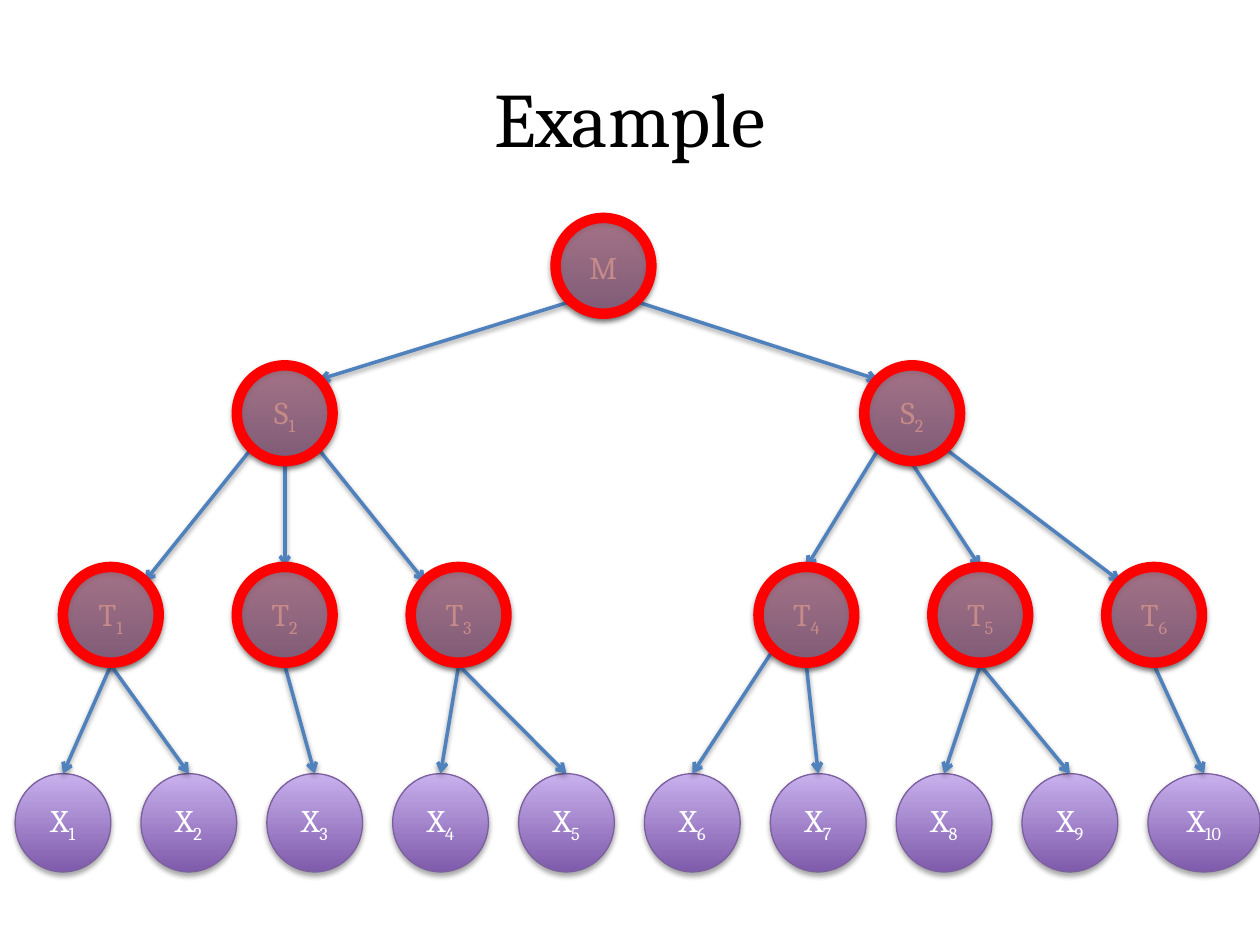
import pptx
import pptx.util
import pptx.dml.color
import pptx.enum.shapes
import pptx.enum.text
import pptx.oxml
import pptx.oxml.ns
import lxml.etree

Inches = pptx.util.Inches
Pt = pptx.util.Pt
RGBColor = pptx.dml.color.RGBColor
OVAL = pptx.enum.shapes.MSO_SHAPE.OVAL
STRAIGHT = pptx.enum.shapes.MSO_CONNECTOR.STRAIGHT
qn = pptx.oxml.ns.qn

BLACK = RGBColor(0x00, 0x00, 0x00)
WHITE = RGBColor(0xFF, 0xFF, 0xFF)
RED = RGBColor(0xFF, 0x00, 0x00)
BRICK = RGBColor(0xC0, 0x50, 0x4D)
ARROW_BLUE = RGBColor(0x4F, 0x81, 0xBD)
# Bottom of gradient, top of gradient, outline
BLUES = (RGBColor(0x3F, 0x80, 0xCE), RGBColor(0xA4, 0xC4, 0xFF), RGBColor(0x4B, 0x7E, 0xBC))
PURPLES = (RGBColor(0x7F, 0x5B, 0xAB), RGBColor(0xC8, 0xB0, 0xED), RGBColor(0x7D, 0x60, 0xA0))

FONT = "Cambria"
NODE_WIDTH, NODE_HEIGHT, RING_SIZE = 0.76, 0.78, 0.76
DIAGONAL = 0.354  # share of the node size from its centre to a diagonal site


def add_shadow(shape, distance, opacity):
    properties = shape._element.spPr
    effects = properties.find(qn("a:effectLst"))
    if effects is None:
        effects = lxml.etree.SubElement(properties, qn("a:effectLst"))
    effects.append(pptx.oxml.parse_xml(
        f'<a:outerShdw xmlns:a="{pptx.oxml.ns.nsdecls("a").split(chr(34))[1]}" '
        f'blurRad="{Pt(3.1)}" dist="{Pt(distance)}" dir="5400000" rotWithShape="0">'
        f'<a:srgbClr val="000000"><a:alpha val="{opacity * 1000}"/></a:srgbClr></a:outerShdw>'))


def write_text(shape, parts, size, color):
    frame = shape.text_frame
    frame.word_wrap = True
    frame.vertical_anchor = pptx.enum.text.MSO_ANCHOR.MIDDLE
    paragraph = frame.paragraphs[0]
    paragraph.alignment = pptx.enum.text.PP_ALIGN.CENTER
    for index, part in enumerate(parts):
        run = paragraph.add_run()
        run.text = part
        for name, value in {"name": FONT, "size": Pt(size)}.items():
            setattr(run.font, name, value)
        run.font.color.rgb = color
        if index:
            run.font._element.set("baseline", "-25000")


presentation = pptx.Presentation()
presentation.slide_width = Inches(10)
presentation.slide_height = Inches(7.5)
slide = presentation.slides.add_slide(presentation.slide_layouts[6])

# Title
title = slide.shapes.add_textbox(Inches(0.5), Inches(0.3), Inches(9), Inches(1.25))
write_text(title, ["Example"], 44, BLACK)

# Tree nodes: name -> left, top, width
nodes = {"M": (4.41, 1.73, NODE_WIDTH),
         "S1": (1.88, 2.9, NODE_WIDTH),
         "S2": (6.86, 2.9, NODE_WIDTH)}
for number, column in enumerate((0, 1, 2, 4, 5, 6), start=1):
    nodes[f"T{number}"] = (0.5 + 1.38 * column, 4.5, NODE_WIDTH)
for number in range(1, 11):
    nodes[f"X{number}"] = (0.12 + 0.999 * (number - 1), 6.14, 0.89 if number == 10 else NODE_WIDTH)

for name, (left, top, width) in nodes.items():
    low, high, outline = PURPLES if name[0] == "X" else BLUES
    node = slide.shapes.add_shape(OVAL, Inches(left), Inches(top), Inches(width), Inches(NODE_HEIGHT))
    node.fill.gradient()
    node.fill.gradient_angle = 90
    for stop, color in zip(node.fill.gradient_stops, (low, high)):
        stop.color.rgb = color
    node.line.color.rgb = outline
    node.line.width = Pt(0.75)
    node.shadow.inherit = False
    add_shadow(node, 1.8, 35)
    write_text(node, [part for part in (name[0], name[1:]) if part], 18, WHITE)

# Arrows: parent, horizontal and vertical site, child, horizontal and vertical site
BOTTOM, TOP = (0, 0.5), (0, -0.5)
LOWER_LEFT, LOWER_RIGHT = (-DIAGONAL, DIAGONAL), (DIAGONAL, DIAGONAL)
UPPER_LEFT, UPPER_RIGHT = (-DIAGONAL, -DIAGONAL), (DIAGONAL, -DIAGONAL)
arrows = [("M", LOWER_LEFT, "S1", UPPER_RIGHT), ("M", LOWER_RIGHT, "S2", UPPER_LEFT),
          ("S1", LOWER_LEFT, "T1", UPPER_RIGHT), ("S1", BOTTOM, "T2", TOP),
          ("S1", LOWER_RIGHT, "T3", UPPER_LEFT), ("S2", LOWER_LEFT, "T4", TOP),
          ("S2", BOTTOM, "T5", TOP), ("S2", LOWER_RIGHT, "T6", UPPER_LEFT)]
for number, parent in enumerate((1, 1, 2, 3, 3, 4, 4, 5, 5, 6), start=1):
    arrows.append((f"T{parent}", LOWER_LEFT if number == 6 else BOTTOM, f"X{number}", TOP))

for parent, parent_site, child, child_site in arrows:
    ends = []
    for name, (across, down) in ((parent, parent_site), (child, child_site)):
        left, top, width = nodes[name]
        ends += [Inches(left + width * (0.5 + across)), Inches(top + NODE_HEIGHT * (0.5 + down))]
    arrow = slide.shapes.add_connector(STRAIGHT, *ends)
    arrow.line.color.rgb = ARROW_BLUE
    arrow.line.width = Pt(2)
    lxml.etree.SubElement(arrow.line._get_or_add_ln(), qn("a:tailEnd"), type="arrow")
    add_shadow(arrow, 1.6, 38)

# Red rings over all inner nodes
for name, (left, top, width) in nodes.items():
    if name[0] == "X":
        continue
    ring = slide.shapes.add_shape(OVAL, Inches(left), Inches(top), Inches(RING_SIZE), Inches(RING_SIZE))
    ring.fill.solid()
    ring.fill.fore_color.rgb = BRICK
    fill_color = ring._element.spPr.find(qn("a:solidFill")).find(qn("a:srgbClr"))
    lxml.etree.SubElement(fill_color, qn("a:alpha"), val="54000")
    ring.line.color.rgb = RED
    ring.line.width = Pt(6)
    ring.shadow.inherit = False
    add_shadow(ring, 1.8, 35)

presentation.save("out.pptx")
